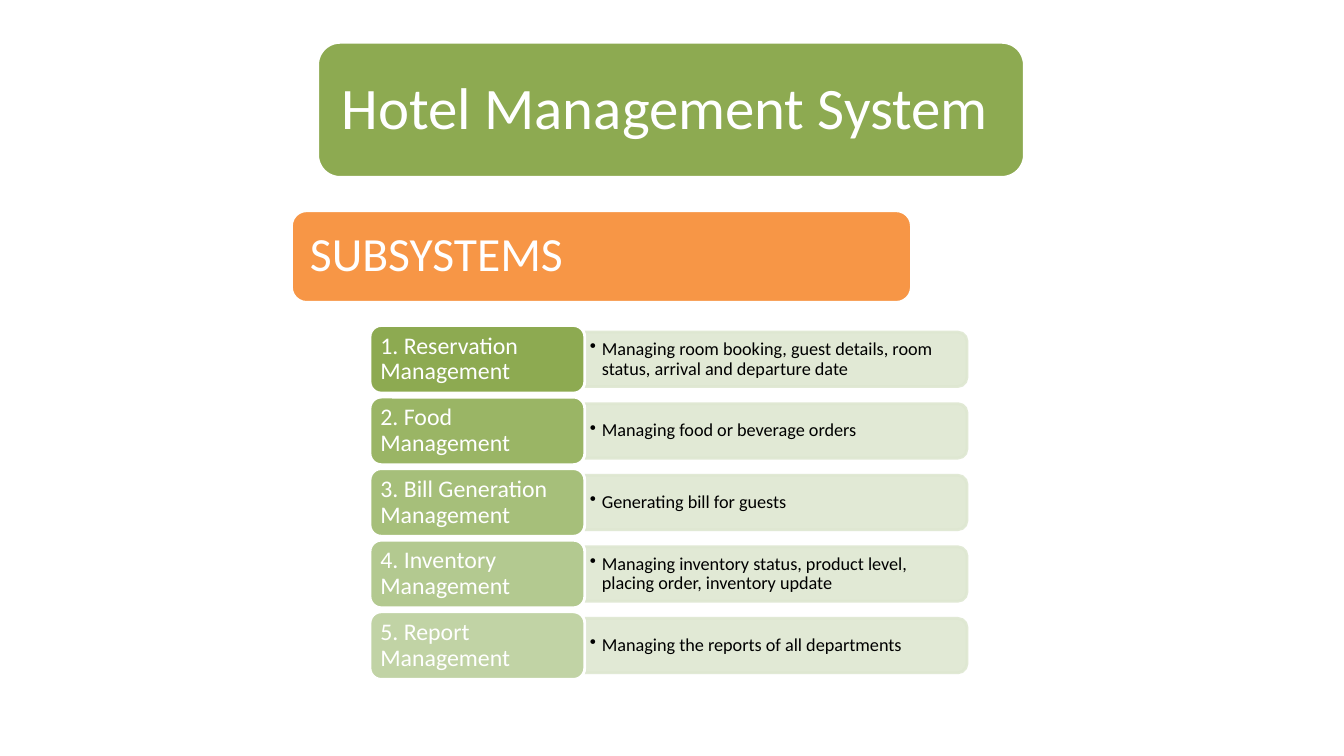
"""Build the Hotel Management System slide with its subsystem list."""
from dataclasses import dataclass

from lxml.etree import SubElement
from pptx import Presentation
from pptx.dml.color import RGBColor
from pptx.dml.fill import FillFormat
from pptx.enum.shapes import MSO_SHAPE
from pptx.enum.text import MSO_ANCHOR, MSO_AUTO_SIZE, PP_ALIGN
from pptx.oxml.ns import qn
from pptx.shapes.autoshape import Shape
from pptx.slide import Slide
from pptx.text.text import TextFrame
from pptx.util import Inches, Pt


@dataclass(frozen=True)
class Theme:
    font: str = "Calibri"
    white: str = "FFFFFF"
    black: str = "000000"
    green: str = "8DAA51"
    orange: str = "F79646"
    pale_green: str = "DEE7D1"
    pale_opacity: int = 90
    title_size: int = 42
    heading_size: int = 34
    label_size: int = 17
    detail_size: int = 13
    outline: int = 2


@dataclass(frozen=True)
class Box:
    left: float
    top: float
    width: float
    height: float


@dataclass(frozen=True)
class Subsystem:
    name: str
    duty: str
    color: str


THEME = Theme()
TITLE_BANNER = Box(3.15, 0.42, 7.01, 1.34)
TITLE_TEXT = Box(3.22, 0.49, 6.88, 1.21)
HEADING_BANNER = Box(2.89, 2.09, 6.15, 0.91)
FIRST_LABEL = Box(3.67, 3.23, 2.13, 0.67)
ROW_PITCH = 0.71
PANEL_WIDTH, PANEL_HEIGHT = 3.79, 0.54
DUTY_WIDTH, DUTY_HEIGHT = 3.77, 0.49
BULLET_INDENT = 0.12

SUBSYSTEMS = [
    Subsystem("Reservation Management",
              "Managing room booking, guest details, room status, arrival and departure date",
              THEME.green),
    Subsystem("Food Management", "Managing food or beverage orders", "9AB565"),
    Subsystem("Bill Generation Management", "Generating bill for guests", "A6BF7A"),
    Subsystem("Inventory Management",
              "Managing inventory status, product level, placing order, inventory update",
              "B3C990"),
    Subsystem("Report Management", "Managing the reports of all departments", "C1D3A5"),
]


def place(box: Box) -> tuple[int, int, int, int]:
    """Convert a box to slide lengths."""
    return Inches(box.left), Inches(box.top), Inches(box.width), Inches(box.height)


def add_block(slide: Slide, kind: MSO_SHAPE, box: Box, fill: str, outline: str) -> Shape:
    """Draw a filled, outlined block without shadow."""
    block = slide.shapes.add_shape(kind, *place(box))
    block.shadow.inherit = False
    block.fill.solid()
    block.fill.fore_color.rgb = RGBColor.from_string(fill)
    block.line.color.rgb = RGBColor.from_string(outline)
    block.line.width = Pt(THEME.outline)
    return block


def write(frame: TextFrame, text: str, size: int, color: str,
          inset_x: float, inset_y: float, bulleted: bool = False) -> None:
    """Write one left-aligned, vertically centred paragraph."""
    frame.text = text
    frame.word_wrap = True
    frame.auto_size = MSO_AUTO_SIZE.NONE
    frame.vertical_anchor = MSO_ANCHOR.MIDDLE
    frame.margin_left = frame.margin_right = Inches(inset_x)
    frame.margin_top = frame.margin_bottom = Inches(inset_y)
    paragraph = frame.paragraphs[0]
    paragraph.alignment = PP_ALIGN.LEFT
    paragraph.line_spacing = 0.9
    if bulleted:
        properties = paragraph._p.get_or_add_pPr()
        properties.set("marL", str(Inches(BULLET_INDENT)))
        properties.set("indent", str(-Inches(BULLET_INDENT)))
        SubElement(properties, qn("a:buChar")).set("char", "•")
    for run in paragraph.runs:
        run.font.name = THEME.font
        run.font.size = Pt(size)
        run.font.color.rgb = RGBColor.from_string(color)


def set_opacity(fill: FillFormat, color_parent: Shape) -> None:
    """Make every colour of a block partly transparent."""
    for color in color_parent._element.spPr.iter(qn("a:srgbClr")):
        SubElement(color, qn("a:alpha")).set("val", str(THEME.pale_opacity * 1000))


def add_title(slide: Slide) -> None:
    """Draw the title banner and lay the title over it."""
    banner = add_block(slide, MSO_SHAPE.ROUNDED_RECTANGLE, TITLE_BANNER,
                       THEME.green, THEME.white)
    title = slide.shapes.title
    title.left, title.top, title.width, title.height = place(TITLE_TEXT)
    write(title.text_frame, "Hotel Management System", THEME.title_size,
          THEME.white, 0.17, 0.17)
    banner._element.addnext(title._element)


def add_subsystem(slide: Slide, index: int, subsystem: Subsystem) -> None:
    """Draw one row: the pale panel, its duty and the numbered label."""
    label_box = Box(FIRST_LABEL.left, FIRST_LABEL.top + index * ROW_PITCH,
                    FIRST_LABEL.width, FIRST_LABEL.height)
    panel_left = label_box.left + label_box.width
    center_x = panel_left + PANEL_WIDTH / 2
    center_y = label_box.top + label_box.height / 2
    upright = Box(center_x - PANEL_HEIGHT / 2, center_y - PANEL_WIDTH / 2,
                  PANEL_HEIGHT, PANEL_WIDTH)
    panel = add_block(slide, MSO_SHAPE.ROUND_2_SAME_RECTANGLE, upright,
                      THEME.pale_green, THEME.pale_green)
    panel.rotation = 90
    set_opacity(panel.fill, panel)

    duty_box = Box(panel_left, center_y - DUTY_HEIGHT / 2, DUTY_WIDTH, DUTY_HEIGHT)
    duty = slide.shapes.add_textbox(*place(duty_box))
    write(duty.text_frame, subsystem.duty, THEME.detail_size, THEME.black,
          0.05, 0.03, bulleted=True)

    label = add_block(slide, MSO_SHAPE.ROUNDED_RECTANGLE, label_box,
                      subsystem.color, THEME.white)
    write(label.text_frame, f"{index + 1}. {subsystem.name}", THEME.label_size,
          THEME.white, 0.07, 0.04)


def main() -> None:
    """Build and save the slide."""
    presentation = Presentation()
    presentation.slide_width = Inches(13.33)
    presentation.slide_height = Inches(7.5)
    slide = presentation.slides.add_slide(presentation.slide_layouts[5])
    add_title(slide)
    heading = add_block(slide, MSO_SHAPE.ROUNDED_RECTANGLE, HEADING_BANNER,
                        THEME.orange, THEME.white)
    write(heading.text_frame, "SUBSYSTEMS", THEME.heading_size, THEME.white, 0.14, 0.14)
    for index, subsystem in enumerate(SUBSYSTEMS):
        add_subsystem(slide, index, subsystem)
    presentation.save("out.pptx")


if __name__ == "__main__":
    main()
